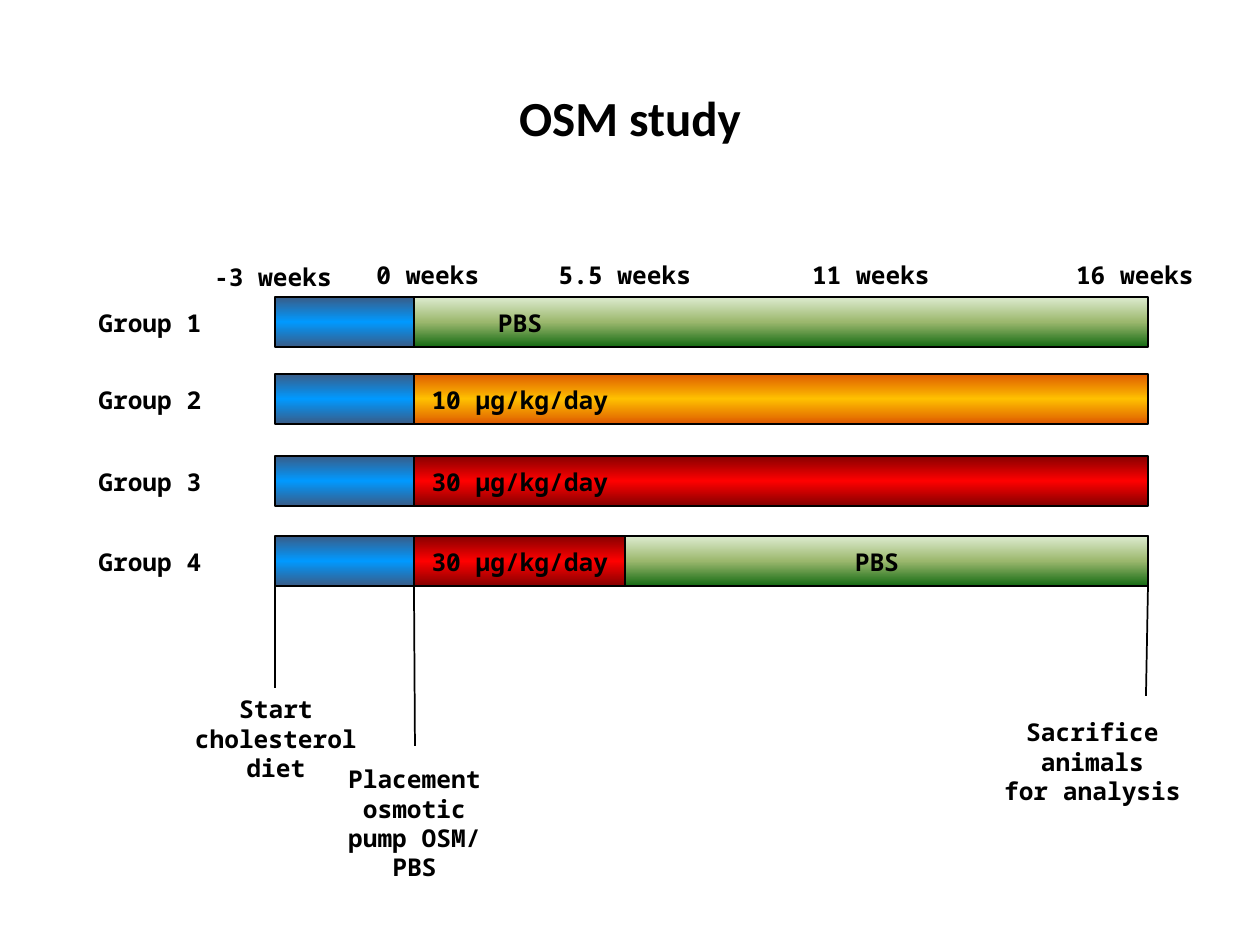
from copy import deepcopy

from lxml.etree import SubElement
from pptx import Presentation
from pptx.dml.color import RGBColor
from pptx.enum.shapes import MSO_CONNECTOR as Connector, MSO_SHAPE as Shape
from pptx.enum.text import MSO_ANCHOR as Anchor, MSO_AUTO_SIZE as AutoSize, PP_ALIGN as Align
from pptx.oxml.ns import qn
from pptx.util import Emu, Pt

EMU_PER_PX = 914400 / 126

BLACK = RGBColor(0x00, 0x00, 0x00)
NAVY = RGBColor(0x39, 0x5C, 0x87)
BLUE = RGBColor(0x00, 0x99, 0xFF)
DARK_RED = RGBColor(0x86, 0x00, 0x00)
RED = RGBColor(0xFF, 0x00, 0x00)
PALE_GREEN = RGBColor(0xDD, 0xEB, 0xCF)
GREEN = RGBColor(0x9C, 0xB8, 0x6E)
DARK_GREEN = RGBColor(0x15, 0x6B, 0x13)
ORANGE = RGBColor(0xDE, 0x5A, 0x00)
AMBER = RGBColor(0xFF, 0xC0, 0x00)

DIET = (NAVY, BLUE, NAVY)
PBS = (PALE_GREEN, GREEN, DARK_GREEN)
LOW_DOSE = (ORANGE, AMBER, ORANGE)
HIGH_DOSE = (DARK_RED, RED, DARK_RED)

DIET_START, PUMP_START, SWITCH, STUDY_END = 275, 414, 625, 1148
BAR_HEIGHT = 50
LABEL_WIDTH, LABEL_HEIGHT = 212, 43
LABEL_DROP = 5
GROUP_LEFT = 44

GROUPS = [
    (297, [(PUMP_START, PBS, "PBS", PUMP_START)]),
    (374, [(PUMP_START, LOW_DOSE, "10 µg/kg/day", PUMP_START)]),
    (456, [(PUMP_START, HIGH_DOSE, "30 µg/kg/day", PUMP_START)]),
    (536, [(PUMP_START, HIGH_DOSE, "30 µg/kg/day", PUMP_START),
           (SWITCH, PBS, "PBS", 771)]),
]
WEEKS = [("-3 weeks", 167, 256), ("0 weeks", 322, 254), ("5.5 weeks", 519, 254),
         ("11 weeks", 765, 254), ("16 weeks", 1029, 254)]
EVENTS = [
    ((DIET_START, 581, DIET_START, 688), ["Start cholesterol diet"], (170, 688, 212, 72)),
    ((PUMP_START, 586, 415, 746), ["Placement osmotic pump OSM/ PBS"], (315, 758, 199, 102)),
    ((STUDY_END, 586, 1146, 696), ["Sacrifice animals", "for analysis"], (983, 711, 219, 72)),
]


def px(*lengths):
    return [Emu(round(length * EMU_PER_PX)) for length in lengths]


def apply(target, values):
    for name, value in values.items():
        setattr(target, name, value)


class StudySlide:
    title_font = {"name": "Calibri", "size": Pt(28), "bold": True}
    label_font = {"name": "Noto Sans Mono", "size": Pt(14), "bold": True}
    line_width = Pt(1)

    def __init__(self, presentation):
        self.slide = presentation.slides.add_slide(presentation.slide_layouts[5])

    def fill_text(self, frame, lines, font):
        frame.text = "\n".join(lines)
        for paragraph in frame.paragraphs:
            paragraph.alignment = Align.CENTER
            apply(paragraph.font, font)
            paragraph.font.color.rgb = BLACK

    def title(self, text, box):
        title = self.slide.shapes.title
        apply(title, dict(zip(("left", "top", "width", "height"), px(*box))))
        title.text_frame.vertical_anchor = Anchor.MIDDLE
        self.fill_text(title.text_frame, [text], self.title_font)

    def label(self, lines, left, top, width=LABEL_WIDTH, height=LABEL_HEIGHT):
        frame = self.slide.shapes.add_textbox(*px(left, top, width, height)).text_frame
        apply(frame, {"word_wrap": True, "auto_size": AutoSize.SHAPE_TO_FIT_TEXT})
        self.fill_text(frame, lines, self.label_font)

    def bar(self, left, right, top, colors):
        shape = self.slide.shapes.add_shape(
            Shape.RECTANGLE, *px(left, top, right - left, BAR_HEIGHT))
        shape.shadow.inherit = False
        shape.fill.gradient()
        shape.fill.gradient_angle = 270
        stops = next(shape._element.iter(qn("a:gsLst")))
        stops.append(deepcopy(stops[0]))
        for stop, position, color in zip(shape.fill.gradient_stops, (0, 0.5, 1), colors):
            stop.position = position
            stop.color.rgb = color
        self.outline(shape.line)

    def line(self, *ends):
        connector = self.slide.shapes.add_connector(Connector.STRAIGHT, *px(*ends))
        SubElement(connector._element.spPr, qn("a:effectLst"))
        self.outline(connector.line)

    def outline(self, line):
        line.color.rgb = BLACK
        line.width = self.line_width


def main():
    presentation = Presentation()
    presentation.slide_width, presentation.slide_height = px(1260, 945)
    study = StudySlide(presentation)
    study.title("OSM study", (63, 38, 1134, 157))

    for ends, lines, box in EVENTS:
        study.line(*ends)
        study.label(lines, *box)
    for text, left, top in WEEKS:
        study.label([text], left, top)
    for number, (top, treatments) in enumerate(GROUPS, 1):
        study.label([f"Group {number}"], GROUP_LEFT, top + LABEL_DROP)
        study.bar(DIET_START, PUMP_START, top, DIET)
        for start, colors, _, _ in treatments:
            study.bar(start, STUDY_END, top, colors)
        for _, _, text, left in treatments:
            study.label([text], left, top + LABEL_DROP)

    presentation.save("out.pptx")


if __name__ == "__main__":
    main()
